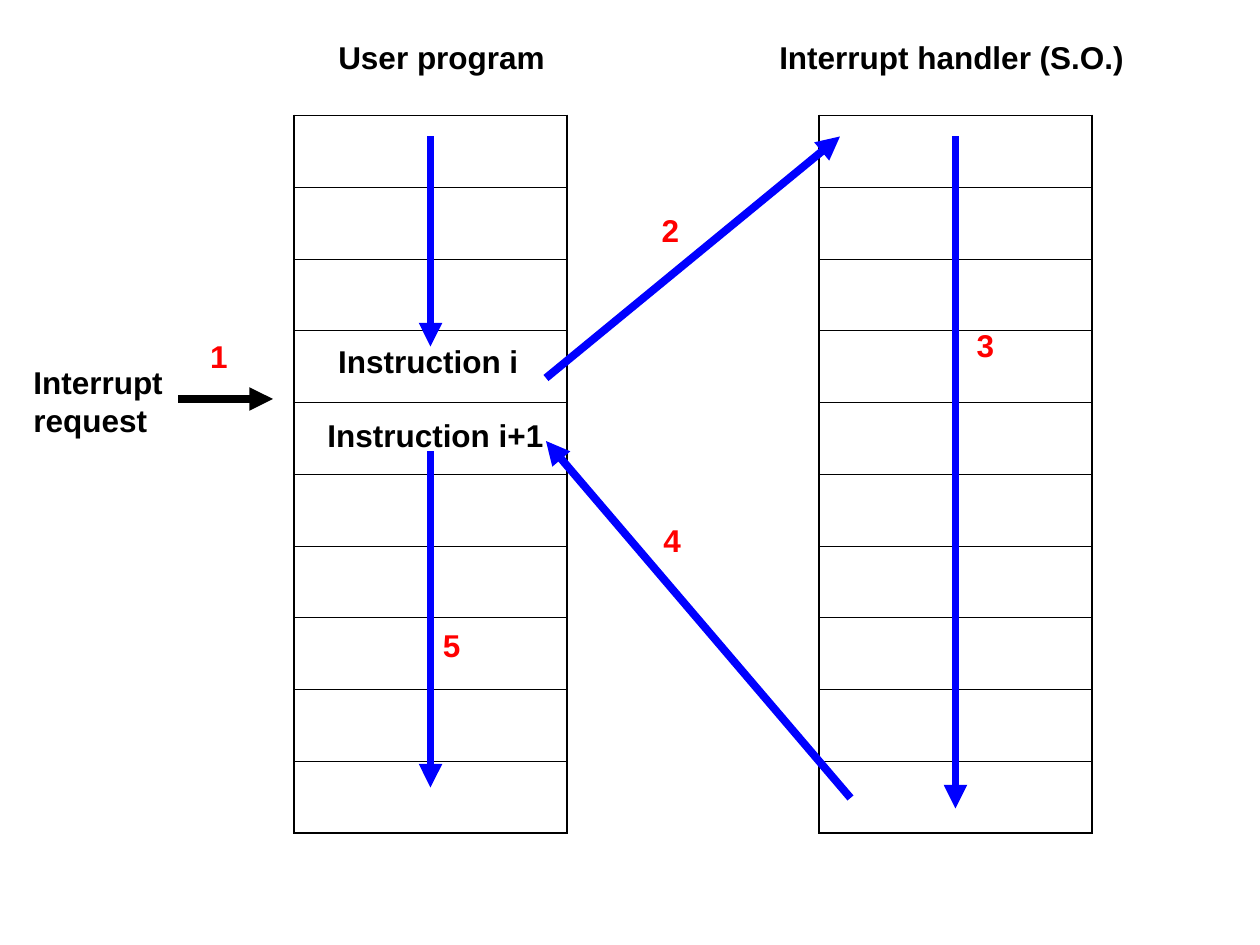
from dataclasses import dataclass

from lxml import etree
from pptx import Presentation
from pptx.dml.color import RGBColor
from pptx.enum.shapes import MSO_CONNECTOR
from pptx.enum.text import MSO_ANCHOR, MSO_AUTO_SIZE
from pptx.oxml.ns import qn
from pptx.slide import Slide
from pptx.table import _Cell
from pptx.util import Pt

STRAIGHT = MSO_CONNECTOR.STRAIGHT
TOP = MSO_ANCHOR.TOP
FIT_SHAPE = MSO_AUTO_SIZE.SHAPE_TO_FIT_TEXT
BLANK_LAYOUT = 6


@dataclass(frozen=True)
class Theme:
    font: str = "Arial"
    text_size: float = 18
    black: str = "000000"
    blue: str = "0000FF"
    red: str = "FF0000"
    arrow_width: float = 4.5
    outer_border: float = 1.08
    inner_border: float = 0.45


@dataclass(frozen=True)
class Label:
    text: str
    left: float
    top: float
    width: float
    color: str
    height: float = 29


@dataclass(frozen=True)
class Arrow:
    start: tuple[float, float]
    end: tuple[float, float]
    color: str


THEME = Theme()
ROW_COUNT = 10
ROW_HEIGHT = 41
MEMORY_WIDTH = 156
MEMORY_TOP = 66
USER_LEFT = 168
HANDLER_LEFT = 468
USER_CENTER = USER_LEFT + MEMORY_WIDTH / 2
HANDLER_CENTER = HANDLER_LEFT + MEMORY_WIDTH / 2
FLOW_TOP = 78
STEP_WIDTH = 24.5

LABELS = [
    Label("Instruction i", 186.2, 192, 119, THEME.black),
    Label("Instruction i+1", 180, 234, 140, THEME.black),
    Label("User program", 186.2, 18, 134, THEME.black),
    Label("Interrupt handler (S.O.)", 438.2, 18, 214, THEME.black),
    Label("Interrupt\nrequest", 12, 204, 90, THEME.black, 50.5),
]
STEP_POSITIONS = [(113, 189), (371, 117), (551, 182.6), (372, 294), (246, 354)]
ARROWS = [
    Arrow((102, 228), (156, 228), THEME.black),
    Arrow((USER_CENTER, FLOW_TOP), (USER_CENTER, 198), THEME.blue),
    Arrow((USER_CENTER, 258), (USER_CENTER, 450), THEME.blue),
    Arrow((312, 216), (480, FLOW_TOP), THEME.blue),
    Arrow((486, 456), (312, 252), THEME.blue),
    Arrow((HANDLER_CENTER, FLOW_TOP), (HANDLER_CENTER, 462), THEME.blue),
]


def set_border(cell: _Cell, side: str, width: float) -> None:
    properties = cell._tc.get_or_add_tcPr()
    line = etree.SubElement(properties, qn(f"a:ln{side}"), w=str(Pt(width)))
    fill = etree.SubElement(line, qn("a:solidFill"))
    etree.SubElement(fill, qn("a:srgbClr"), val=THEME.black)


def add_memory(slide: Slide, left: float) -> None:
    frame = slide.shapes.add_table(
        ROW_COUNT, 1, Pt(left), Pt(MEMORY_TOP), Pt(MEMORY_WIDTH), Pt(ROW_COUNT * ROW_HEIGHT)
    )
    table = frame.table
    table.first_row = False
    table.horz_banding = False
    for index, row in enumerate(table.rows):
        row.height = Pt(ROW_HEIGHT)
        cell = row.cells[0]
        borders = {
            "L": THEME.outer_border,
            "R": THEME.outer_border,
            "T": THEME.outer_border if index == 0 else THEME.inner_border,
            "B": THEME.outer_border if index == ROW_COUNT - 1 else THEME.inner_border,
        }
        for side, width in borders.items():
            set_border(cell, side, width)
        cell.fill.background()


def add_label(slide: Slide, label: Label) -> None:
    shape = slide.shapes.add_textbox(
        Pt(label.left), Pt(label.top), Pt(label.width), Pt(label.height)
    )
    frame = shape.text_frame
    frame_format = {"word_wrap": False, "auto_size": FIT_SHAPE, "vertical_anchor": TOP}
    for name, value in frame_format.items():
        setattr(frame, name, value)
    frame.text = label.text
    font_format = {"name": THEME.font, "size": Pt(THEME.text_size), "bold": True}
    for paragraph in frame.paragraphs:
        for run in paragraph.runs:
            for name, value in font_format.items():
                setattr(run.font, name, value)
            run.font.color.rgb = RGBColor.from_string(label.color)


def add_arrow(slide: Slide, arrow: Arrow) -> None:
    points = [Pt(value) for value in (*arrow.start, *arrow.end)]
    connector = slide.shapes.add_connector(STRAIGHT, *points)
    connector.line.width = Pt(THEME.arrow_width)
    connector.line.color.rgb = RGBColor.from_string(arrow.color)
    etree.SubElement(connector.line._get_or_add_ln(), qn("a:tailEnd"), type="triangle")
    etree.SubElement(connector._element.spPr, qn("a:effectLst"))


def main() -> None:
    presentation = Presentation()
    presentation.slide_width = Pt(720)
    presentation.slide_height = Pt(540)
    slide = presentation.slides.add_slide(presentation.slide_layouts[BLANK_LAYOUT])
    for left in (USER_LEFT, HANDLER_LEFT):
        add_memory(slide, left)
    for label in LABELS:
        add_label(slide, label)
    for arrow in ARROWS:
        add_arrow(slide, arrow)
    for number, (left, top) in enumerate(STEP_POSITIONS, start=1):
        add_label(slide, Label(str(number), left, top, STEP_WIDTH, THEME.red))
    presentation.save("out.pptx")


if __name__ == "__main__":
    main()
